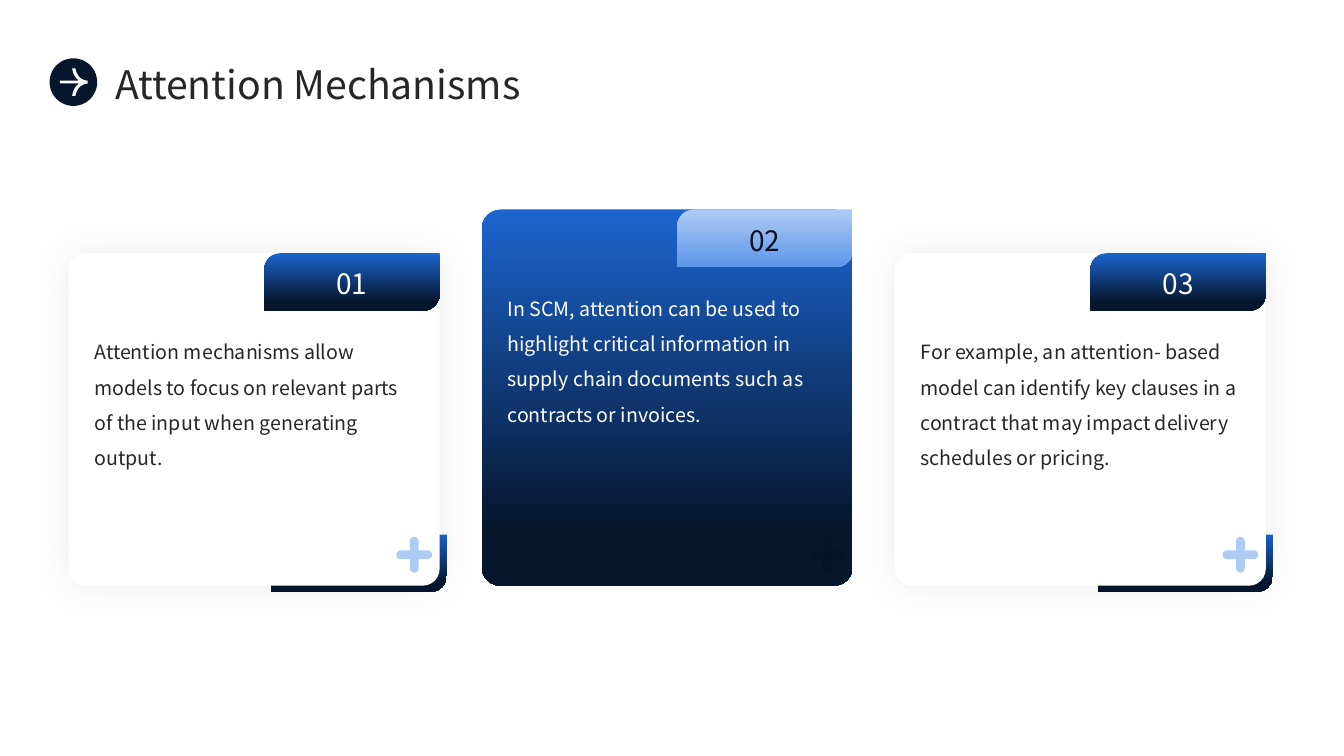
import math
from dataclasses import dataclass

from lxml import etree
from pptx import Presentation
from pptx.dml.color import RGBColor
from pptx.enum import shapes, text
from pptx.oxml import ns
from pptx.util import Cm, Pt


# Theme: colours, gradients (position, colour) and type sizes
@dataclass(frozen=True)
class Theme:
    font: str = "Noto Sans CJK SC"
    navy: str = "06162D"
    white: str = "FFFFFF"
    ink: str = "262626"
    sky: str = "AECBF4"
    dark: str = "051022"
    deep: tuple = ((0, "1C65CF"), (0.85, "06162D"))
    pale: tuple = ((0, "AECBF4"), (1, "5D97E9"))
    title_size: int = 28
    number_size: int = 20
    body_size: int = 14


T = Theme()


@dataclass(frozen=True)
class Card:
    number: str
    body: str
    top: float = 6.38
    fill: str | tuple = T.white
    tab_fill: tuple = T.deep
    number_color: str = T.white
    body_color: str = T.ink
    plus_color: str = T.sky
    plus_alpha: int = 100
    raised: bool = True


CARDS = [
    Card("01", "Attention mechanisms allow models to focus on relevant parts "
               "of the input when generating output."),
    Card("02", "In SCM, attention can be used to highlight critical information "
               "in supply chain documents such as contracts or invoices.",
         top=5.28, fill=T.deep, tab_fill=T.pale, number_color=T.dark,
         body_color=T.white, plus_color="041022", plus_alpha=37, raised=False),
    Card("03", "For example, an attention- based model can identify key clauses "
               "in a contract that may impact delivery schedules or pricing."),
]

# Card grid, in cm
CARD_LEFT, CARD_PITCH, CARD_W, CARD_BOTTOM = 1.73, 10.41, 9.35, 14.76
TAB_W, TAB_H = 4.42, 1.45

# Upper half of the arrow outline, in cm from the badge centre
ARROW_HALF = [
    (-0.34, -0.035), (0.14, -0.035), (0.08, -0.09), (0.03, -0.16), (0, -0.22),
    (-0.02, -0.29), (-0.03, -0.345), (0.05, -0.345), (0.07, -0.27), (0.1, -0.2),
    (0.14, -0.14), (0.18, -0.1), (0.25, -0.06), (0.32, -0.04), (0.36, -0.035),
]


def paint(sp, fill: str | tuple) -> None:
    """Fill with one colour or a vertical gradient; no line, no shadow."""
    sp.shadow.inherit = False
    sp.line.fill.background()
    if isinstance(fill, str):
        sp.fill.solid()
        sp.fill.fore_color.rgb = RGBColor.from_string(fill)
        return
    sp.fill.gradient()
    sp.fill.gradient_angle = 270
    for stop, (position, color) in zip(sp.fill.gradient_stops, fill):
        stop.position = position
        stop.color.rgb = RGBColor.from_string(color)


def add_box(s, kind, left: float, top: float, width: float, height: float,
            fill: str | tuple, adj: float | None = None):
    sp = s.shapes.add_shape(kind, Cm(left), Cm(top), Cm(width), Cm(height))
    if adj is not None:
        sp.adjustments[0] = adj
    paint(sp, fill)
    return sp


def add_outline(s, cx: float, cy: float, points: list, fill: str):
    pts = [(Cm(cx + x), Cm(cy + y)) for x, y in points]
    builder = s.shapes.build_freeform(*pts[0])
    builder.add_line_segments(pts[1:], close=True)
    sp = builder.convert_to_shape()
    paint(sp, fill)
    return sp


def write(sp, words: str, size: int, color: str, spacing: float,
          align=text.PP_ALIGN.LEFT, anchor=text.MSO_ANCHOR.MIDDLE,
          margin: float | None = 0) -> None:
    tf = sp.text_frame
    frame = {"word_wrap": True, "auto_size": text.MSO_AUTO_SIZE.NONE,
             "vertical_anchor": anchor}
    if margin is not None:
        for side in ("left", "top", "right", "bottom"):
            frame[f"margin_{side}"] = Cm(margin)
    p = tf.paragraphs[0]
    r = p.add_run()
    r.text = words
    formats = (
        (tf, frame),
        (p, {"alignment": align, "line_spacing": spacing}),
        (r.font, {"name": T.font, "size": Pt(size)}),
    )
    for target, values in formats:
        for name, value in values.items():
            setattr(target, name, value)
    r.font.color.rgb = RGBColor.from_string(color)


def add_soft_shadow(sp) -> None:
    effects = sp.element.spPr.find(ns.qn("a:effectLst"))
    shadow = etree.SubElement(effects, ns.qn("a:outerShdw"),
                              blurRad=str(Pt(27)), dist="0", algn="ctr", rotWithShape="0")
    color = etree.SubElement(shadow, ns.qn("a:srgbClr"), val="000000")
    etree.SubElement(color, ns.qn("a:alpha"), val="8000")


def set_alpha(sp, percent: int) -> None:
    color = sp.element.spPr.find(f"{ns.qn('a:solidFill')}/{ns.qn('a:srgbClr')}")
    etree.SubElement(color, ns.qn("a:alpha"), val=str(percent * 1000))


def plus_points(reach: float, half: float) -> list:
    """Four round-ended arms with an inner corner after each."""
    points = []
    for arm in range(0, 360, 90):
        a = math.radians(arm)
        for step in range(-90, 91, 15):
            b = math.radians(arm + step)
            points.append(((reach - half) * math.cos(a) + half * math.cos(b),
                           (reach - half) * math.sin(a) + half * math.sin(b)))
        c = math.radians(arm + 45)
        points.append((half * math.sqrt(2) * math.cos(c), half * math.sqrt(2) * math.sin(c)))
    return points


def add_card(s, card: Card, left: float) -> None:
    kinds = shapes.MSO_SHAPE
    tab_left = left + CARD_W - TAB_W
    # Corner accent behind the raised cards
    if card.raised:
        add_box(s, kinds.ROUND_2_DIAG_RECTANGLE, tab_left + 0.18,
                CARD_BOTTOM + 0.16 - TAB_H, TAB_W, TAB_H, T.deep, 0.288)
    panel = add_box(s, kinds.ROUNDED_RECTANGLE, left, card.top, CARD_W,
                    CARD_BOTTOM - card.top, card.fill, 0.051)
    if card.raised:
        add_soft_shadow(panel)
    # Body text and number tab
    body = s.shapes.add_textbox(Cm(left + 0.65), Cm(card.top + 1.9), Cm(8.08), Cm(5.74))
    write(body, card.body, T.body_size, card.body_color, 1.5, anchor=text.MSO_ANCHOR.TOP)
    tab = add_box(s, kinds.ROUND_2_DIAG_RECTANGLE, tab_left, card.top, TAB_W, TAB_H,
                  card.tab_fill, 0.288)
    write(tab, card.number, T.number_size, card.number_color, 1.1,
          align=text.PP_ALIGN.CENTER, margin=None)
    # Plus sign
    plus = add_outline(s, left + 8.71, 13.98, plus_points(0.45, 0.11), card.plus_color)
    if card.plus_alpha < 100:
        set_alpha(plus, card.plus_alpha)


def main() -> None:
    prs = Presentation()
    prs.slide_width, prs.slide_height = Cm(33.87), Cm(19.05)
    s = prs.slides.add_slide(prs.slide_layouts[5])

    # Title
    title = s.shapes.title
    title.left, title.top, title.width, title.height = Cm(2.9), Cm(1.47), Cm(29.08), Cm(1.19)
    write(title, "Attention Mechanisms", T.title_size, T.ink, 1.1)

    # Arrow badge
    add_box(s, shapes.MSO_SHAPE.OVAL, 1.25, 1.47, 1.2, 1.2, T.navy)
    arrow = ARROW_HALF + [(x, -y) for x, y in reversed(ARROW_HALF)]
    add_outline(s, 1.85, 2.07, arrow, T.white)

    # Cards
    for i, card in enumerate(CARDS):
        add_card(s, card, CARD_LEFT + i * CARD_PITCH)

    prs.save("out.pptx")


if __name__ == "__main__":
    main()
